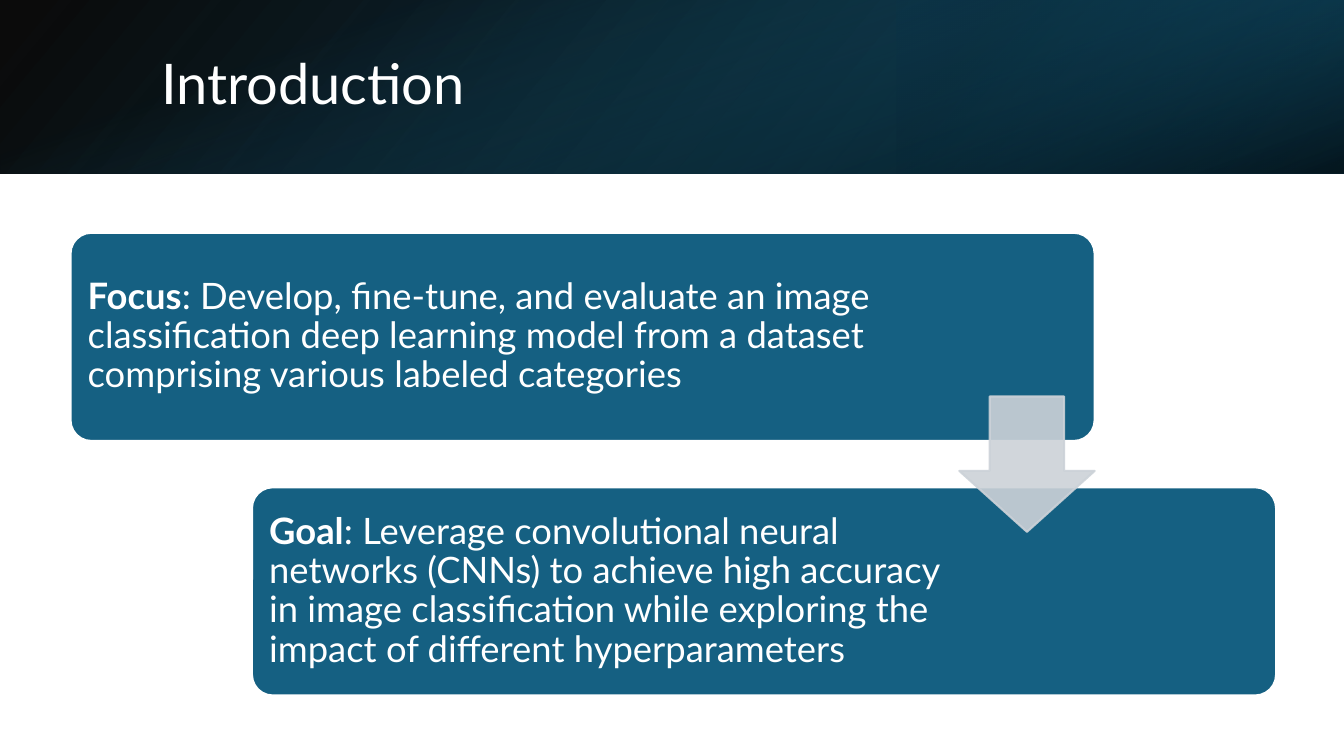
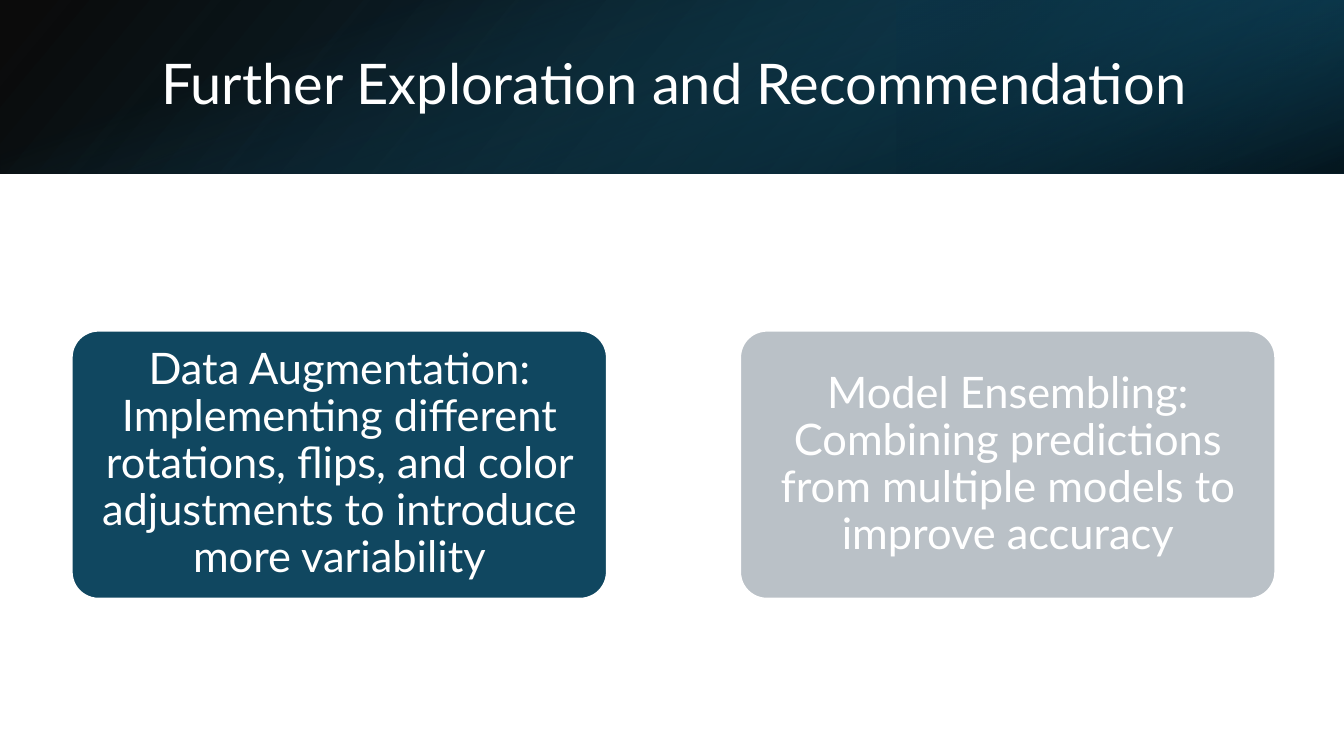
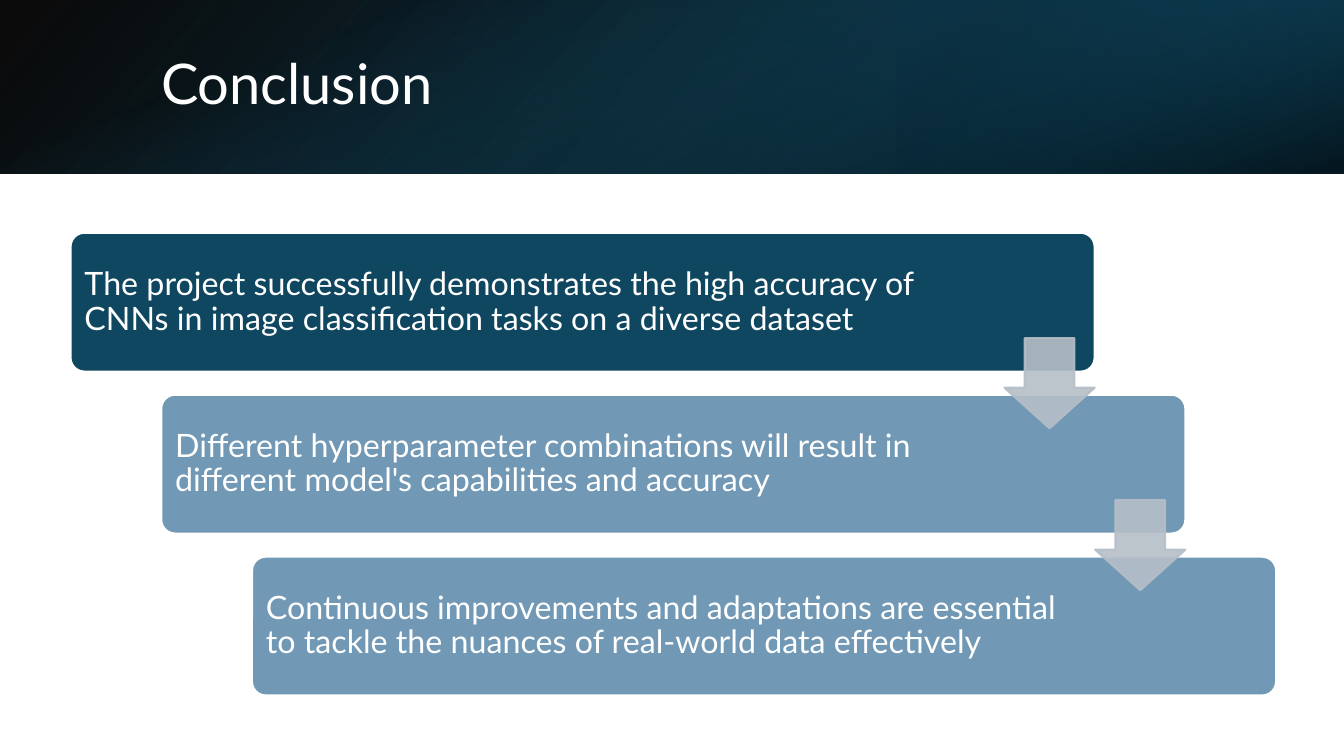
"""Builds a three-slide deck on an image classification project."""
from dataclasses import dataclass

from lxml.etree import SubElement
from pptx import Presentation
from pptx.dml.color import RGBColor
from pptx.enum.shapes import MSO_SHAPE as Preset
from pptx.enum.text import MSO_ANCHOR as Anchor, PP_ALIGN as Align
from pptx.oxml.ns import qn
from pptx.util import Inches, Pt

SLIDE_W, SLIDE_H = Inches(13.333), Inches(7.5)
FONT = "Lato"
COLORS = {
    "white": "FFFFFF", "black": "000000", "teal": "156082", "deep": "104862",
    "navy": "0B3041", "dark": "104760", "steel": "7198B4", "silver": "BAC1C7",
    "pale_arrow": "CCD2D8", "grey_arrow": "B5BEC7",
}
BAND_ROWS = 22.93
CARD_LEFT, CARD_COLS, STAIR_INDENT = 5.25, 76.2, 13.5
STAIR_TOP, STAIR_ROWS = 30.8, 61.2
PANEL_LEFT, PANEL_COLS, PANEL_PITCH = 5.33, 39.83, 49.73
PANEL_TOP, PANEL_ROWS = 43.73, 35.47


@dataclass(frozen=True)
class Stop:
    """One gradient stop, with position and opacity in percent."""
    position: int
    color: str
    opacity: int = 100


@dataclass(frozen=True)
class Layer:
    """One gradient layer of the title band."""
    left: float
    cols: float
    stops: tuple[Stop, Stop]
    angle: int
    rotation: int = 0
    flipped: bool = False


@dataclass(frozen=True)
class Card:
    """A rounded card; margin is the free columns right of its text."""
    text: str
    fill: str
    lead: str = ""
    margin: float = 0


@dataclass(frozen=True)
class CardStyle:
    """Text settings of a set of cards, insets in inches."""
    size: int
    inset_x: float
    inset_y: float
    align: Align = Align.LEFT


BAND = (
    Layer(0, 100, (Stop(0, "black", 96), Stop(100, "deep")), 140, flipped=True),
    Layer(66.67, 33.33, (Stop(19, "navy", 68), Stop(100, "teal", 79)), 320, 180, True),
    Layer(0, 100, (Stop(23, "teal", 0), Stop(99, "black", 74)), 340, 90),
)


def col(share: float) -> int:
    """Turn a percentage of the slide width into a length."""
    return round(SLIDE_W * share / 100)


def row(share: float) -> int:
    """Turn a percentage of the slide height into a length."""
    return round(SLIDE_H * share / 100)


def rgb(name: str) -> RGBColor:
    """Look up a colour of the palette."""
    return RGBColor.from_string(COLORS[name])


def set_opacity(shape, *percents: int) -> None:
    """Give each colour of a shape its opacity, in order."""
    for color, percent in zip(shape._element.spPr.iter(qn("a:srgbClr")), percents):
        SubElement(color, qn("a:alpha")).set("val", str(percent * 1000))


def add_solid(slide, preset: Preset, box: tuple, fill: str, line: str, adjust: tuple):
    """Draw a filled and outlined preset shape."""
    shape = slide.shapes.add_shape(preset, *box)
    shape.shadow.inherit = False
    shape.fill.solid()
    shape.fill.fore_color.rgb = rgb(fill)
    shape.line.color.rgb = rgb(line)
    shape.line.width = Pt(1.5)
    for index, value in enumerate(adjust):
        shape.adjustments[index] = value
    return shape


def add_layer(slide, layer: Layer) -> None:
    """Draw one gradient layer, swapping its sides for a quarter turn."""
    left, width, height = col(layer.left), col(layer.cols), row(BAND_ROWS)
    box = (left, 0, width, height)
    if layer.rotation == 90:
        shift = (width - height) // 2
        box = (left + shift, -shift, height, width)
    shape = slide.shapes.add_shape(Preset.RECTANGLE, *box)
    shape.shadow.inherit = False
    shape.line.fill.background()
    shape.rotation = layer.rotation
    if layer.flipped:
        shape._element.spPr.xfrm.set("flipH", "1")
    shape.fill.gradient()
    shape.fill.gradient_angle = 360 - layer.angle
    for target, stop in zip(shape.fill.gradient_stops, layer.stops):
        target.position = stop.position / 100
        target.color.rgb = rgb(stop.color)
    set_opacity(shape, *(stop.opacity for stop in layer.stops))


def style_text(frame, size: int, align: Align = Align.LEFT) -> None:
    """Set wrapping, anchor and font of a one-paragraph text frame."""
    frame.word_wrap = True
    frame.vertical_anchor = Anchor.MIDDLE
    paragraph = frame.paragraphs[0]
    paragraph.alignment = align
    paragraph.line_spacing = 0.9
    paragraph.font.name = FONT
    paragraph.font.size = Pt(size)
    paragraph.font.color.rgb = rgb("white")


def add_titled_slide(deck, title: str):
    """Add a blank slide with the gradient band and its title."""
    slide = deck.slides.add_slide(deck.slide_layouts[6])
    for layer in BAND:
        add_layer(slide, layer)
    heading = slide.shapes.add_textbox(col(11.25), row(5.07), col(82.35), row(12.8))
    heading.text_frame.text = title
    style_text(heading.text_frame, 40)
    return slide


def add_card(slide, card: Card, box: tuple, style: CardStyle) -> None:
    """Draw a rounded card holding its text."""
    shape = add_solid(slide, Preset.ROUNDED_RECTANGLE, box, card.fill, "white", (0.1,))
    frame = shape.text_frame
    frame.margin_left = Inches(style.inset_x)
    frame.margin_right = Inches(style.inset_x) + col(card.margin)
    frame.margin_top = frame.margin_bottom = Inches(style.inset_y)
    paragraph = frame.paragraphs[0]
    if card.lead:
        lead = paragraph.add_run()
        lead.text = card.lead
        lead.font.bold = True
    paragraph.add_run().text = card.text
    style_text(frame, style.size, style.align)


def add_staircase(slide, cards: tuple[Card, ...], style: CardStyle, arrow_color: str) -> None:
    """Draw cards stepping down to the right, with an arrow over each gap."""
    count = len(cards)
    height = row(STAIR_ROWS * 0.9 / count)
    pitch = (row(STAIR_ROWS) - height) // (count - 1)
    indent = col(STAIR_INDENT / (count - 1))
    left, top, width = col(CARD_LEFT), row(STAIR_TOP), col(CARD_COLS)
    for step, card in enumerate(cards):
        add_card(slide, card, (left + step * indent, top + step * pitch, width, height), style)
    side = round(height * 0.65)
    for step in range(count - 1):
        gap_middle = top + step * pitch + (height + pitch) // 2
        box = (left + step * indent + width - side, gap_middle - side // 2, side, side)
        arrow = add_solid(slide, Preset.DOWN_ARROW, box, arrow_color, arrow_color, (0.55, 0.45))
        set_opacity(arrow, 90, 90)


def add_panels(slide, cards: tuple[Card, ...], style: CardStyle) -> None:
    """Draw cards side by side."""
    for index, card in enumerate(cards):
        left = col(PANEL_LEFT + index * PANEL_PITCH)
        add_card(slide, card, (left, row(PANEL_TOP), col(PANEL_COLS), row(PANEL_ROWS)), style)


def main() -> None:
    """Build and save the deck."""
    deck = Presentation()
    deck.slide_width, deck.slide_height = SLIDE_W, SLIDE_H

    introduction = add_titled_slide(deck, "Introduction")
    add_staircase(introduction, (
        Card(": Develop, fine-tune, and evaluate an image classification deep learning "
             "model from a dataset comprising various labeled categories",
             "teal", "Focus", 15.08),
        Card(": Leverage convolutional neural networks (CNNs) to achieve high accuracy in "
             "image classification while exploring the impact of different hyperparameters",
             "teal", "Goal", 23.55),
    ), CardStyle(26, 0.11, 0.11), "pale_arrow")

    exploration = add_titled_slide(deck, "Further Exploration and Recommendation")
    add_panels(exploration, (
        Card("Data Augmentation: Implementing different rotations, flips, and color "
             "adjustments to introduce more variability", "dark"),
        Card("Model Ensembling: Combining predictions from multiple models to improve "
             "accuracy", "silver"),
    ), CardStyle(31, 0.06, 0.04, Align.CENTER))

    conclusion = add_titled_slide(deck, "Conclusion")
    add_staircase(conclusion, (
        Card("The project successfully demonstrates the high accuracy of CNNs in image "
             "classification tasks on a diverse dataset", "dark", margin=10.58),
        Card("Different hyperparameter combinations will result in different model's "
             "capabilities and accuracy", "steel", margin=13.43),
        Card("Continuous improvements and adaptations are essential to tackle the nuances "
             "of real-world data effectively", "steel", margin=13.43),
    ), CardStyle(23, 0.1, 0.1), "grey_arrow")

    deck.save("out.pptx")


if __name__ == "__main__":
    main()
